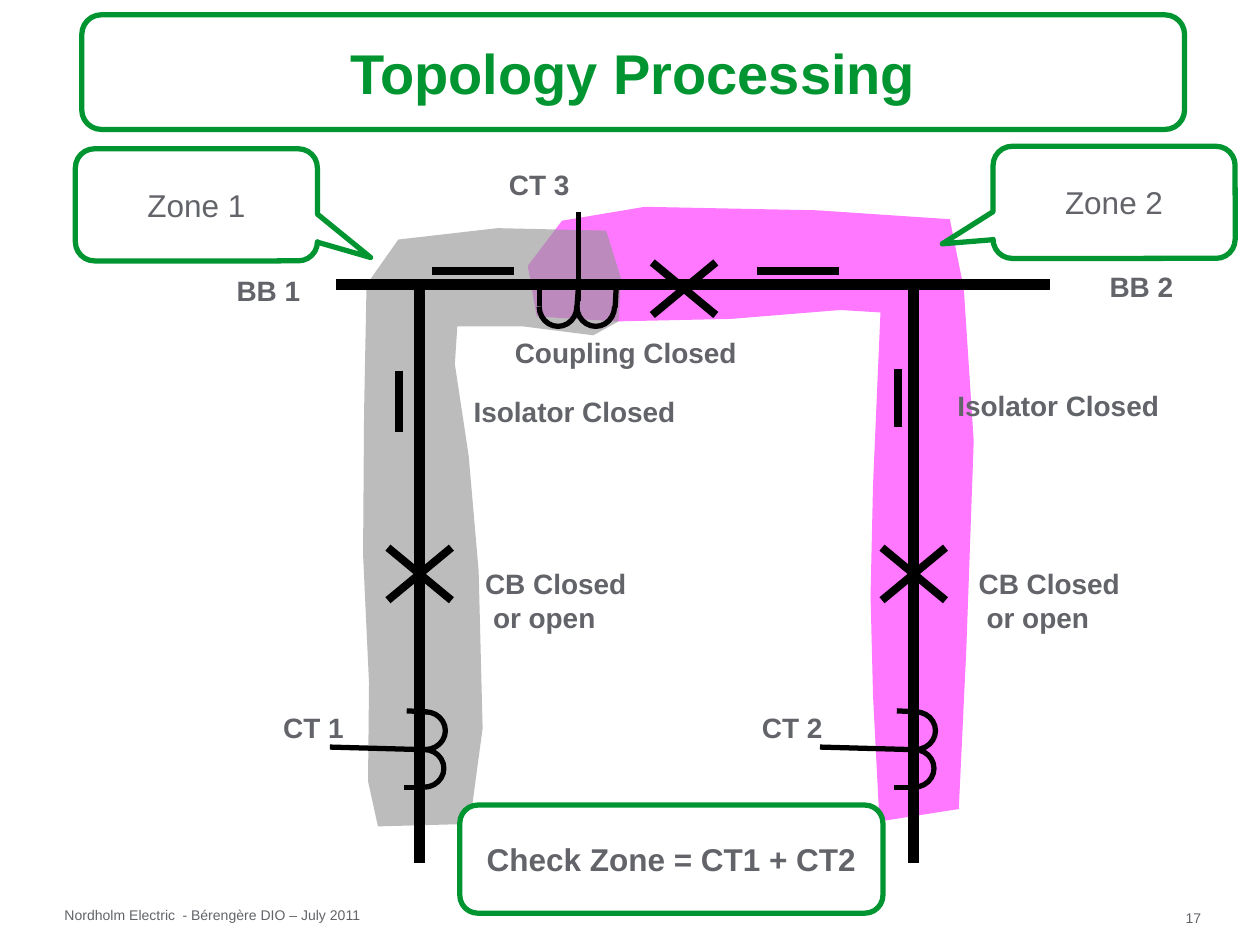
from dataclasses import dataclass

from lxml import etree
from pptx import Presentation, util as u
from pptx.dml.color import RGBColor
from pptx.enum import shapes, text
from pptx.oxml import ns


@dataclass(frozen=True)
class Theme:
    font: str = "Arial"
    grey: RGBColor = RGBColor(0x62, 0x64, 0x69)
    green: RGBColor = RGBColor(0x00, 0x95, 0x30)
    black: RGBColor = RGBColor(0, 0, 0)
    white: RGBColor = RGBColor(0xFF, 0xFF, 0xFF)
    zone_1: RGBColor = RGBColor(0x96, 0x96, 0x96)
    zone_2: RGBColor = RGBColor(0xFF, 0x00, 0xFF)
    title: int = 32
    callout: int = 18
    label: int = 16
    footer: int = 8
    bus_line: float = 6
    switch_line: float = 4.5
    thin_line: float = 3


theme = Theme()
presentation = Presentation()
presentation.slide_width, presentation.slide_height = u.Cm(25.4), u.Cm(19.05)
slide = presentation.slides.add_slide(presentation.slide_layouts[6])


def add_line(x1, y1, x2, y2, width):
    line = slide.shapes.add_connector(
        shapes.MSO_CONNECTOR.STRAIGHT, u.Cm(x1), u.Cm(y1), u.Cm(x2), u.Cm(y2))
    line.line.color.rgb = theme.black
    line.line.width = u.Pt(width)
    etree.SubElement(line._element.spPr, ns.qn("a:effectLst"))


def write_text(shape, words, size, color=theme.grey, bold=False, centred=False,
               wrap=False, inset=(0.25, 0.13)):
    frame = shape.text_frame
    frame.text = words
    frame.word_wrap = wrap
    frame.margin_left = frame.margin_right = u.Cm(inset[0])
    frame.margin_top = frame.margin_bottom = u.Cm(inset[1])
    frame.vertical_anchor = text.MSO_ANCHOR.MIDDLE if centred else text.MSO_ANCHOR.TOP
    for paragraph in frame.paragraphs:
        paragraph.alignment = text.PP_ALIGN.CENTER if centred else text.PP_ALIGN.LEFT
        paragraph.font.name = theme.font
        paragraph.font.size = u.Pt(size)
        paragraph.font.bold = bold
        paragraph.font.color.rgb = color


# Protection zones
zone_2 = [
    (17.73, 16.56), (19.33, 16.31), (19.48, 13.11), (19.63, 8.89), (19.43, 5.82),
    (19.15, 4.42), (16.46, 4.24), (13, 4.17), (11.33, 4.45), (10.64, 5.36),
    (10.82, 6.38), (12.42, 6.48), (14.73, 6.43), (16.94, 6.25), (17.75, 6.3),
    (17.6, 9.78), (17.55, 12.01), (17.6, 14.02)]
zone_1 = [
    (7.62, 16.66), (9.47, 16.61), (9.73, 14.68), (9.65, 11.51), (9.45, 9.19),
    (9.17, 7.34), (9.22, 6.58), (10.54, 6.58), (11.96, 6.76), (12.47, 6.48),
    (12.52, 5.61), (12.22, 4.65), (10.03, 4.6), (8.03, 4.83), (7.39, 5.74),
    (7.34, 8.31), (7.32, 11.18), (7.44, 13.77), (7.42, 15.75)]
for outline, color, opacity in [(zone_2, theme.zone_2, 53), (zone_1, theme.zone_1, 63)]:
    points = [(u.Cm(x), u.Cm(y)) for x, y in outline]
    builder = slide.shapes.build_freeform(*points[0])
    builder.add_line_segments(points[1:], close=True)
    zone = builder.convert_to_shape()
    zone.shadow.inherit = False
    zone.line.fill.background()
    zone.fill.solid()
    zone.fill.fore_color.rgb = color
    fill_color = zone._element.spPr.find(".//" + ns.qn("a:srgbClr"))
    etree.SubElement(fill_color, ns.qn("a:alpha"), val=str(opacity * 1000))

# Busbar and feeders
bus_y = 5.74
feeders = (8.46, 18.42)
add_line(6.78, bus_y, 21.16, bus_y, theme.bus_line)
for x in feeders:
    add_line(x, bus_y, x, 17.4, theme.bus_line)

# Isolators
for isolator in [(8.71, 5.46, 10.36, 5.46), (15.27, 5.46, 16.92, 5.46),
                 (8.05, 7.47, 8.05, 8.71), (18.11, 7.44, 18.11, 8.61)]:
    add_line(*isolator, theme.switch_line)

# Circuit breakers
for x, y in [(feeders[0], 11.57), (feeders[1], 11.57), (13.79, 5.82)]:
    for rise in (0.53, -0.53):
        add_line(x - 0.64, y - rise, x + 0.64, y + rise, theme.switch_line)

# Current transformers: leads, then two half turns each
leads = [(12.4, 6.2, 12.42, 5.82), (11.63, 6.2, 11.66, 5.79),
         (10.87, 6.17, 10.87, 5.77), (11.66, 6.07, 11.66, 4.27)]
turns = [(11.63, 5.78, 0.76, 0.8, 0, 180), (10.87, 5.78, 0.76, 0.8, 0, 180)]
for shift in (0, 9.88):
    leads += [(8.61 + shift, 14.35, 8.2 + shift, 14.33),
              (8.56 + shift, 15.11, 8.18 + shift, 15.11),
              (8.53 + shift, 15.88, 8.15 + shift, 15.88),
              (8.46 + shift, 15.11, 6.65 + shift, 15.06)]
    turns += [(8.18 + shift, 14.35, 0.8, 0.76, 270, 90),
              (8.15 + shift, 15.11, 0.8, 0.76, 270, 90)]
for lead in leads:
    add_line(*lead, theme.thin_line)
for left, top, width, height, start, end in turns:
    turn = slide.shapes.add_shape(
        shapes.MSO_SHAPE.ARC, u.Cm(left), u.Cm(top), u.Cm(width), u.Cm(height))
    turn.shadow.inherit = False
    turn.fill.background()
    turn.line.color.rgb = theme.black
    turn.line.width = u.Pt(theme.thin_line)
    # Angles are stored in 60000ths of a degree, adjustments in 100000ths
    turn.adjustments[0], turn.adjustments[1] = start * 0.6, end * 0.6

# Labels
labels = [
    ("Isolator Closed", 9.3, 7.82, 4.57, False), ("Isolator Closed", 19.05, 7.7, 4.57, False),
    ("CB Closed\nor open", 9.53, 11.3, 3.35, False),
    ("CB Closed\nor open", 19.48, 11.3, 3.35, False),
    ("BB 1", 4.32, 5.38, 2.18, True), ("BB 2", 21.92, 5.3, 2.18, True),
    ("Coupling Closed", 10.13, 6.63, 4.98, False),
    ("CT 1", 5.46, 14.2, 2.31, False), ("CT 2", 15.11, 14.2, 2.31, False),
    ("CT 3", 10.01, 3.25, 2.16, False)]
for words, left, top, width, centred in labels:
    height = 0.94 + 0.69 * words.count("\n")
    label = slide.shapes.add_textbox(u.Cm(left), u.Cm(top), u.Cm(width), u.Cm(height))
    write_text(label, words, theme.label, bold=True, centred=centred)
    label.text_frame.auto_size = text.MSO_AUTO_SIZE.SHAPE_TO_FIT_TEXT
    for paragraph in label.text_frame.paragraphs[1:]:
        paragraph._p.get_or_add_pPr().set("marL", str(u.Cm(0.16)))

# Title, zone callouts and check zone
rounded = shapes.MSO_SHAPE.ROUNDED_RECTANGLE
callout = shapes.MSO_SHAPE.ROUNDED_RECTANGULAR_CALLOUT
process = shapes.MSO_SHAPE.FLOWCHART_ALTERNATE_PROCESS
frames = [
    (rounded, "Topology Processing", 1.65, 0.3, 22.23, 2.31, [0.17],
     theme.title, theme.green, True),
    (callout, "Zone 1", 1.52, 3, 4.88, 2.26, [0.72, 0.47, 0.17],
     theme.callout, theme.grey, False),
    (callout, "Zone 2", 20.02, 2.95, 4.88, 2.26, [-0.71, 0.37, 0.17],
     theme.callout, theme.grey, False),
    (process, "Check Zone = CT1 + CT2", 9.27, 16.23, 8.53, 2.18, [],
     theme.callout, theme.grey, True)]
for kind, words, left, top, width, height, adjustments, size, color, bold in frames:
    shape = slide.shapes.add_shape(kind, u.Cm(left), u.Cm(top), u.Cm(width), u.Cm(height))
    shape.shadow.inherit = False
    for index, value in enumerate(adjustments):
        shape.adjustments[index] = value
    if kind == process:
        shape.fill.solid()
        shape.fill.fore_color.rgb = theme.white
    else:
        shape.fill.background()
    shape.line.color.rgb = theme.green
    shape.line.width = u.Pt(theme.thin_line)
    write_text(shape, words, size, color, bold, centred=True, wrap=kind == callout)

# Footer
for words, left, top, width, height in [
        ("Nordholm Electric", 1.3, 18.27, 2.38, 0.33),
        ("- Bérengère DIO – July 2011", 3.68, 18.27, 3.8, 0.33),
        ("17", 23.9, 18.34, 0.81, 0.2)]:
    footer = slide.shapes.add_textbox(u.Cm(left), u.Cm(top), u.Cm(width), u.Cm(height))
    write_text(footer, words, theme.footer, inset=(0, 0))

presentation.save("out.pptx")
